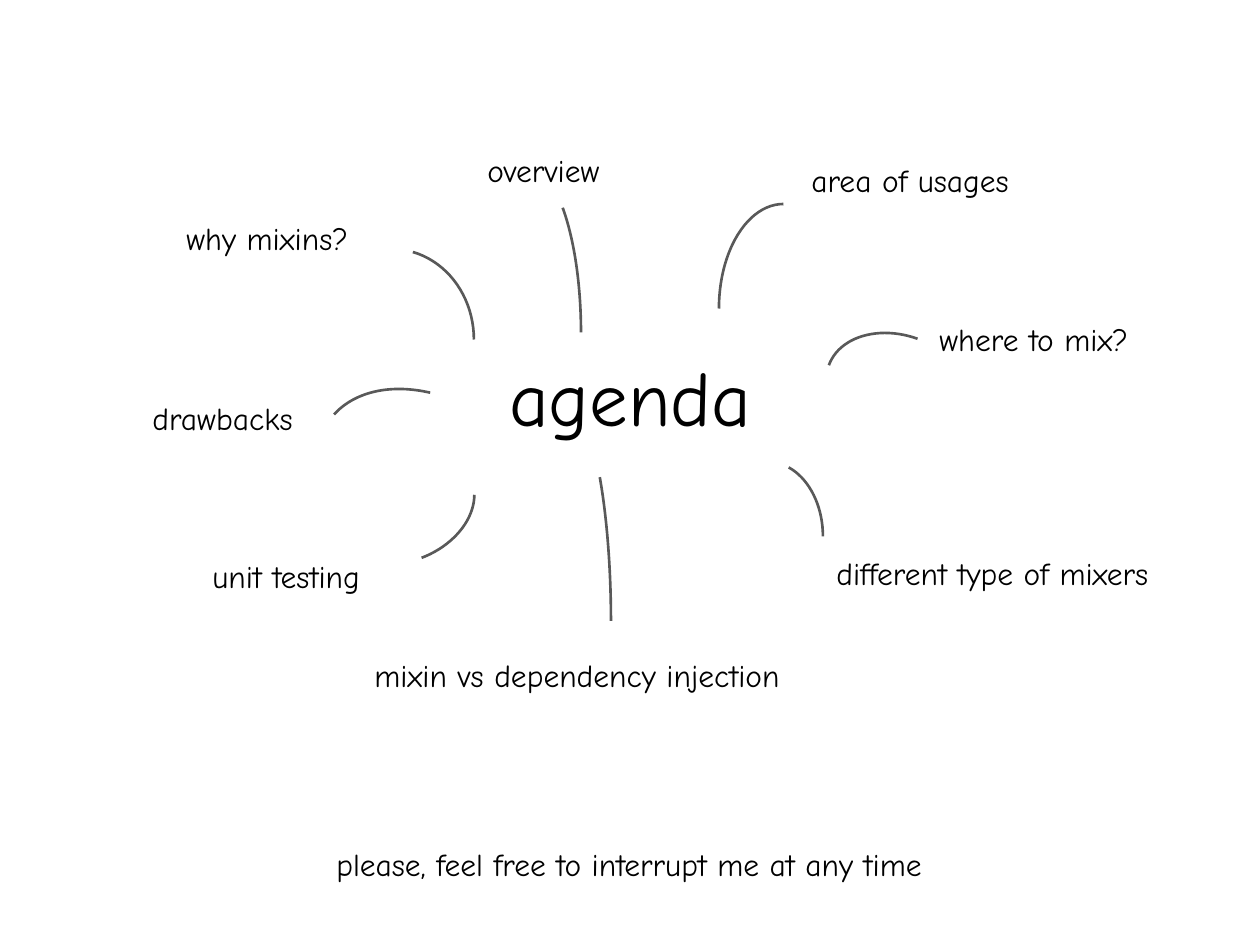
"""Build an agenda mind map with curved branches around a central title."""
from dataclasses import dataclass

from pptx import Presentation
from pptx.dml.color import RGBColor
from pptx.enum.shapes import MSO_SHAPE as Shape
from pptx.enum.text import MSO_ANCHOR as Anchor, MSO_AUTO_SIZE as AutoSize, PP_ALIGN as Align
from pptx.util import Emu, Pt

PX_PER_INCH = 126
FONT = "Comic Neue"
TEXT_COLOR = "000000"
BRANCH_COLOR = "595959"


@dataclass(frozen=True)
class Label:
    text: str
    left: int
    top: int
    width: int
    height: int = 50
    size: int = 18
    wrap: bool = True
    centered: bool = False
    anchor: Anchor = Anchor.TOP


@dataclass(frozen=True)
class Branch:
    left: int
    top: int
    width: int
    height: int
    start: float = 162
    end: float = 0
    rotation: float = 0
    flipped: bool = False


LABELS = [
    Label("agenda", 95, 294, 1071, 203, size=44, centered=True, anchor=Anchor.MIDDLE),
    Label("please, feel free to interrupt me at any time", -1, 839, 1260, centered=True),
    Label("why mixins?", 174, 213, 218),
    Label("overview", 475, 145, 151, wrap=False),
    Label("area of usages", 799, 155, 249, wrap=False),
    Label("where to mix?", 927, 314, 268),
    Label("different type of mixers", 824, 548, 367, 89),
    Label("mixin vs dependency injection", 362, 650, 460, wrap=False),
    Label("unit testing", 200, 551, 192, 89),
    Label("drawbacks", 140, 393, 194, wrap=False),
]

BRANCHES = [
    Branch(310, 249, 164, 181, start=170.09),
    Branch(471, 165, 110, 335, start=171.84),
    Branch(719, 204, 129, 209, flipped=True),
    Branch(844, 316, 110, 149, rotation=289.8),
    Branch(713, 462, 110, 149, start=172.04),
    Branch(501, 383, 110, 476, start=172.17),
    Branch(347, 432, 110, 149, start=169.03, rotation=69.1),
    Branch(344, 364, 198, 286, start=163.13, end=189.07, rotation=308.5),
]


def px(length: int) -> Emu:
    """Convert pixels to EMU."""
    return Emu(round(length * 914400 / PX_PER_INCH))


def color(value: str) -> RGBColor:
    """Convert a hex string to a colour."""
    return RGBColor.from_string(value)


def add_label(slide, label: Label) -> None:
    """Add one text label."""
    shape = slide.shapes.add_textbox(
        px(label.left), px(label.top), px(label.width), px(label.height)
    )
    frame = shape.text_frame
    frame.word_wrap = label.wrap
    frame.vertical_anchor = label.anchor
    frame.auto_size = AutoSize.NONE if label.anchor == Anchor.MIDDLE else AutoSize.SHAPE_TO_FIT_TEXT
    paragraph = frame.paragraphs[0]
    paragraph.alignment = Align.CENTER if label.centered else Align.LEFT
    run = paragraph.add_run()
    run.text = label.text
    run.font.name = FONT
    run.font.size = Pt(label.size)
    run.font.color.rgb = color(TEXT_COLOR)


def add_branch(slide, branch: Branch) -> None:
    """Add one curved branch."""
    shape = slide.shapes.add_shape(
        Shape.ARC, px(branch.left), px(branch.top), px(branch.width), px(branch.height)
    )
    shape.adjustments[0] = branch.start
    shape.adjustments[1] = branch.end
    shape.rotation = branch.rotation
    if branch.flipped:
        shape.element.spPr.xfrm.set("flipH", "1")
    shape.shadow.inherit = False
    shape.fill.background()
    shape.line.color.rgb = color(BRANCH_COLOR)
    shape.line.width = Pt(1.5)


def main() -> None:
    """Build and save the slide."""
    presentation = Presentation()
    presentation.slide_width = px(1260)
    presentation.slide_height = px(945)
    slide = presentation.slides.add_slide(presentation.slide_layouts[6])
    for label in LABELS:
        add_label(slide, label)
    for branch in BRANCHES:
        add_branch(slide, branch)
    presentation.save("out.pptx")


if __name__ == "__main__":
    main()
